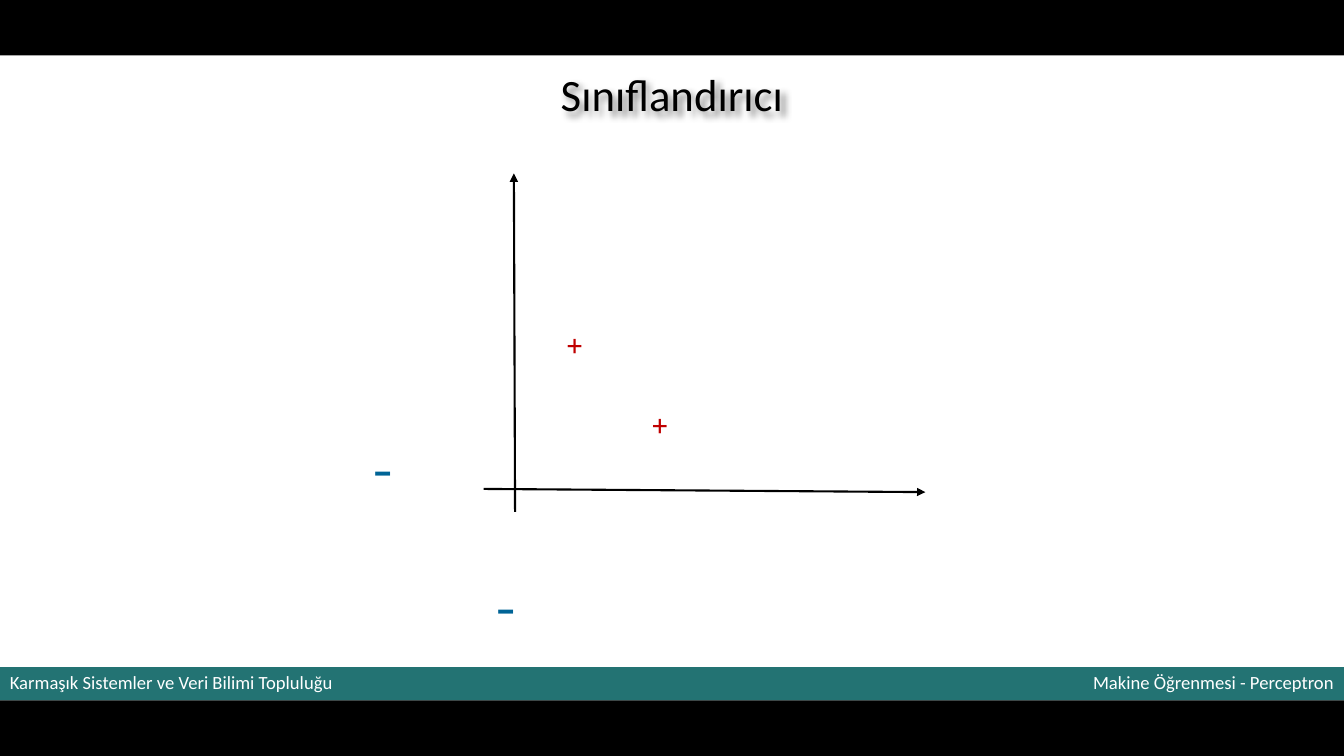
from lxml import etree
from pptx import Presentation
from pptx.dml.color import RGBColor
from pptx.enum.shapes import MSO_CONNECTOR, MSO_SHAPE
from pptx.enum.text import MSO_ANCHOR, MSO_AUTO_SIZE, PP_ALIGN
from pptx.oxml import parse_xml
from pptx.oxml.ns import nsdecls, qn
from pptx.util import Cm, Pt

LEFT, CENTER, RIGHT = PP_ALIGN.LEFT, PP_ALIGN.CENTER, PP_ALIGN.RIGHT
TOP = MSO_ANCHOR.TOP
FIXED = MSO_AUTO_SIZE.NONE
RECTANGLE = MSO_SHAPE.RECTANGLE
STRAIGHT = MSO_CONNECTOR.STRAIGHT

BLACK = RGBColor(0x00, 0x00, 0x00)
WHITE = RGBColor(0xFF, 0xFF, 0xFF)
TEAL = RGBColor(0x23, 0x73, 0x73)
BLUE = RGBColor(0x00, 0x64, 0x96)
RED = RGBColor(0xC0, 0x00, 0x00)

WIDTH, HEIGHT = 33.87, 19.05
BAND = 1.4
SOFT_SHADOW = (
    f'<a:effectLst {nsdecls("a")}>'
    '<a:outerShdw blurRad="38100" dist="38100" dir="2700000" algn="tl">'
    '<a:srgbClr val="000000"><a:alpha val="43000"/></a:srgbClr>'
    '</a:outerShdw></a:effectLst>'
)


class Page:
    """Style and drawing methods for one slide."""
    text_font = "Calibri"
    sign_font = "Noto Sans Mono"

    def __init__(self, deck):
        self.slide = deck.slides.add_slide(deck.slide_layouts[5])
        self.shapes = self.slide.shapes

    def fill_text(self, box, text, size, color, font, align, wrap):
        frame = box.text_frame
        frame.word_wrap = wrap
        frame.auto_size = FIXED
        frame.vertical_anchor = TOP
        frame.text = text
        para = frame.paragraphs[0]
        para.alignment = align
        para.font.size = Pt(size)
        para.font.name = font
        para.font.color.rgb = color

    def title(self, text, left, top, width, height):
        box = self.shapes.title
        box.left, box.top = Cm(left), Cm(top)
        box.width, box.height = Cm(width), Cm(height)
        self.fill_text(box, text, 32, BLACK, self.text_font, CENTER, True)
        box._element.spPr.append(parse_xml(SOFT_SHADOW))

    def text(self, text, left, top, width, height, size, color,
             font=text_font, align=LEFT, wrap=False):
        box = self.shapes.add_textbox(Cm(left), Cm(top), Cm(width), Cm(height))
        self.fill_text(box, text, size, color, font, align, wrap)

    def bar(self, top, height, color):
        bar = self.shapes.add_shape(RECTANGLE, 0, Cm(top), Cm(WIDTH), Cm(height))
        bar.shadow.inherit = False
        bar.fill.solid()
        bar.fill.fore_color.rgb = color
        bar.line.fill.background()

    def arrow(self, start, end):
        arrow = self.shapes.add_connector(
            STRAIGHT, *(Cm(value) for value in start + end))
        arrow.line.color.rgb = BLACK
        arrow.line.width = Pt(1.5)
        outline = arrow._element.spPr.find(qn("a:ln"))
        etree.SubElement(outline, qn("a:tailEnd"), type="triangle")
        etree.SubElement(arrow._element.spPr, qn("a:effectLst"))


def main():
    deck = Presentation()
    deck.slide_width, deck.slide_height = Cm(WIDTH), Cm(HEIGHT)
    page = Page(deck)

    # Title
    page.title("Sınıflandırıcı", 0, 1.55, WIDTH, 1.63)

    # Axes
    page.arrow((12.98, 12.9), (12.95, 4.37))
    page.arrow((12.19, 12.32), (23.32, 12.4))

    # Data points of the two classes
    for left, top in ((9.02, 10.9), (12.12, 14.38)):
        page.text("-", left, top, 1.22, 1.78, 35.4, BLUE, page.sign_font)
    for left, top in ((16.15, 10.11), (14, 8.1)):
        page.text("+", left, top, 0.94, 1.19, 22.1, RED, page.sign_font)

    # Bands and footer
    page.bar(0, BAND, BLACK)
    page.bar(16.81, 0.84, TEAL)
    page.text("Karmaşık Sistemler ve Veri Bilimi Topluluğu",
              0, 16.79, 9.14, 0.81, 13.3, WHITE, wrap=True)
    page.text("Makine Öğrenmesi - Perceptron",
              WIDTH - 6.67, 16.79, 6.67, 0.81, 13.3, WHITE, align=RIGHT)
    page.bar(HEIGHT - BAND, BAND, BLACK)

    deck.save("out.pptx")


if __name__ == "__main__":
    main()
